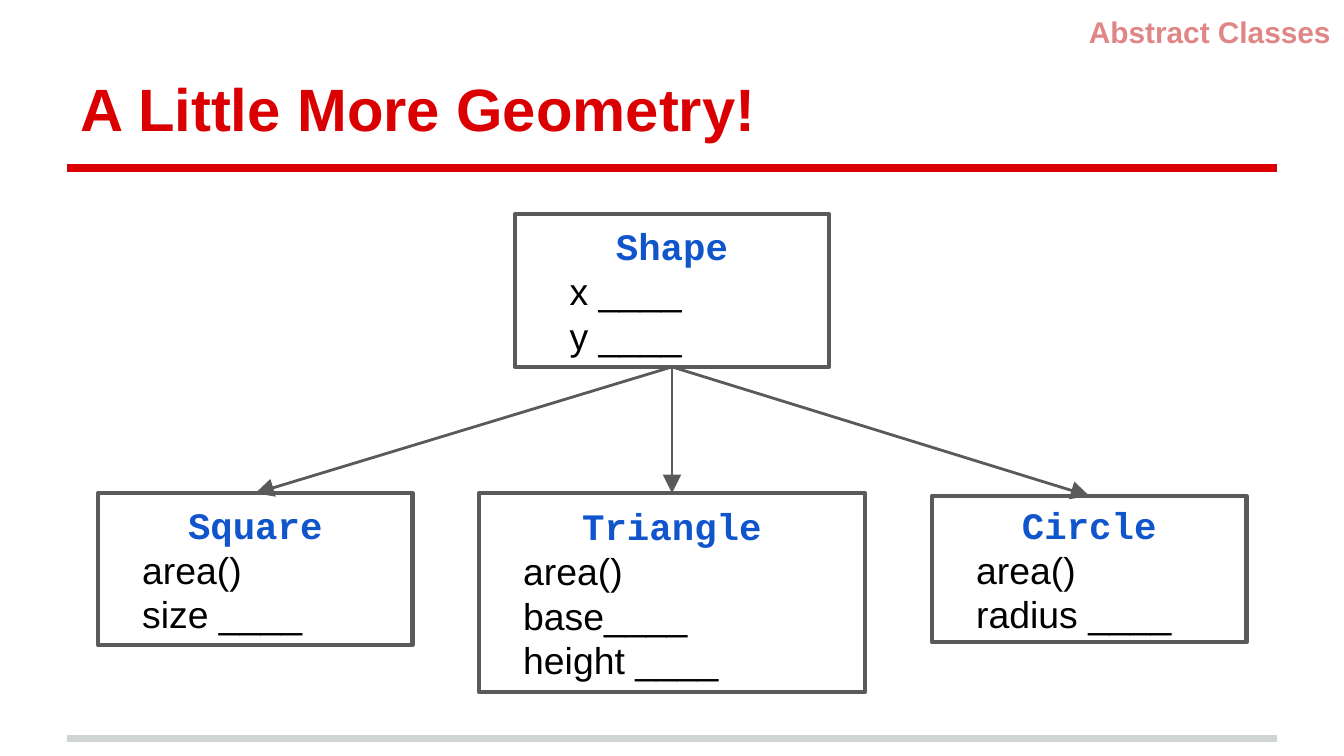
from pptx import Presentation
from pptx.dml.color import RGBColor
from pptx.enum.shapes import MSO_CONNECTOR, MSO_SHAPE
from pptx.enum.text import MSO_ANCHOR, MSO_AUTO_SIZE, PP_ALIGN
from pptx.oxml.ns import qn
from pptx.util import Pt
from lxml.etree import SubElement

PX = 4572  # EMU per px, 200 px to the inch

RED = RGBColor(0xDA, 0x00, 0x02)
PINK = RGBColor(0xE0, 0x86, 0x86)
BLUE = RGBColor(0x11, 0x55, 0xCC)
BLACK = RGBColor(0x00, 0x00, 0x00)
GRAY = RGBColor(0x5B, 0x59, 0x5A)
PALE = RGBColor(0xCF, 0xD4, 0xD4)

SITE_TOP, SITE_BOTTOM = 0, 2  # connection sites of a rectangle


def emu(*lengths):
    return [n * PX for n in lengths]


def write(p, text, size=20, font="Arial", color=BLACK, bold=False,
          align=PP_ALIGN.LEFT, indent=0):
    p.alignment = align
    if indent:
        pPr = p._p.get_or_add_pPr()
        pPr.set("marL", str(indent * PX))
        pPr.set("indent", "0")
    r = p.add_run()
    r.text = text
    r.font.size = Pt(size)
    r.font.name = font
    r.font.bold = bold
    r.font.color.rgb = color


def set_frame(tf, anchor):
    tf.word_wrap = True
    tf.auto_size = MSO_AUTO_SIZE.NONE
    tf.vertical_anchor = anchor
    tf.margin_left = tf.margin_right = tf.margin_top = tf.margin_bottom = 20 * PX


def add_line(s, start, end, color, width):
    line = s.shapes.add_connector(MSO_CONNECTOR.STRAIGHT, *emu(*start, *end))
    line.line.color.rgb = color
    line.line.width = Pt(width)
    SubElement(line._element.spPr, qn("a:effectLst"))
    return line


def add_header(s, x, y, w, h):
    """Place the title, the rule under it and the topic in the corner."""
    title = s.shapes.title
    title.left, title.top, title.width, title.height = emu(x, y, w, h)
    set_frame(title.text_frame, MSO_ANCHOR.BOTTOM)
    write(title.text_frame.paragraphs[0], "A Little More Geometry!",
          size=32, color=RED, bold=True)
    add_line(s, (x, y + h + 17), (x + w, y + h + 17), RED, 4)

    topic = s.shapes.add_textbox(*emu(x + w - 368, 0, 468, 80))
    set_frame(topic.text_frame, MSO_ANCHOR.TOP)
    write(topic.text_frame.paragraphs[0], "Abstract Classes",
          size=16, color=PINK, bold=True, align=PP_ALIGN.RIGHT)


def add_class_box(s, box, name, members, indent=46):
    sp = s.shapes.add_shape(MSO_SHAPE.RECTANGLE, *emu(*box))
    sp.shadow.inherit = False
    sp.fill.background()
    sp.line.color.rgb = GRAY
    sp.line.width = Pt(2.25)
    tf = sp.text_frame
    set_frame(tf, MSO_ANCHOR.MIDDLE)
    write(tf.paragraphs[0], name, font="Courier New", color=BLUE,
          bold=True, align=PP_ALIGN.CENTER)
    for member in members:
        write(tf.add_paragraph(), member, indent=indent)
    return sp


def add_arrow(s, parent, child):
    line = add_line(s, (0, 0), (0, 0), GRAY, 1.5)
    line.begin_connect(parent, SITE_BOTTOM)
    line.end_connect(child, SITE_TOP)
    SubElement(line._element.spPr.get_or_add_ln(), qn("a:tailEnd"),
               type="triangle", w="lg", len="lg")


def add_class_tree(s, x, y):
    """Place the parent class, its three subclasses and the arrows between."""
    parent = add_class_box(s, (x + 620, y, 468, 227), "Shape",
                           ["x ____", "y ____"], indent=62)
    subclasses = [
        ((x + 567, y + 415, 574, 296), "Triangle",
         ["area()", "base____", "height ____"]),
        ((x + 1241, y + 419, 468, 218), "Circle", ["area()", "radius ____"]),
        ((x, y + 415, 468, 226), "Square", ["area()", "size ____"]),
    ]
    children = [add_class_box(s, *subclass) for subclass in subclasses]
    for child in children:
        add_arrow(s, parent, child)


def main():
    prs = Presentation()
    prs.slide_width, prs.slide_height = emu(2000, 1125)
    s = prs.slides.add_slide(prs.slide_layouts[5])
    add_line(s, (100, 1099), (1900, 1099), PALE, 4)
    add_header(s, 100, 45, 1800, 188)
    add_class_tree(s, 146, 319)
    prs.save("out.pptx")


if __name__ == "__main__":
    main()
